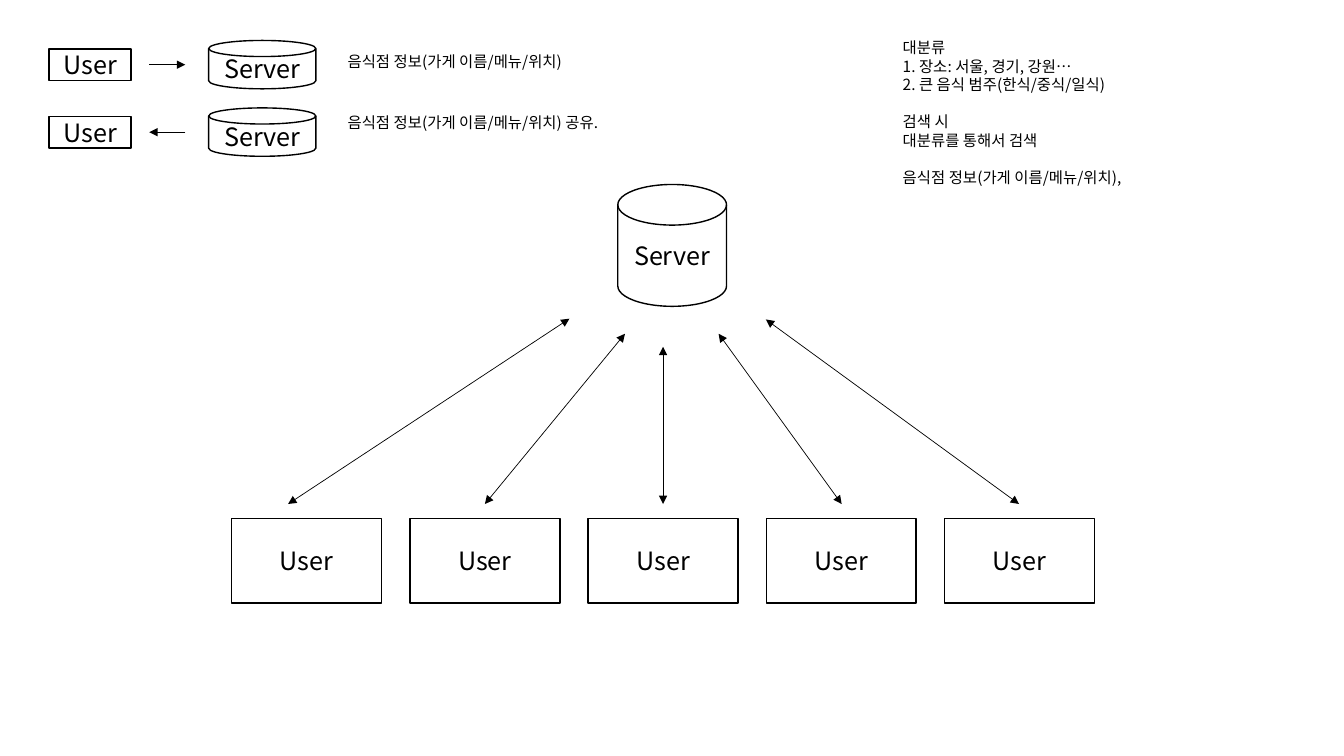
"""Builds the slide on how users and the server share restaurant information."""
from dataclasses import dataclass

from lxml.etree import SubElement
from pptx import Presentation
from pptx.dml.color import RGBColor
from pptx.enum.shapes import MSO_CONNECTOR as Line, MSO_SHAPE as Shape
from pptx.enum.text import MSO_ANCHOR as Anchor, MSO_AUTO_SIZE as Fit, PP_ALIGN as Align
from pptx.oxml.ns import qn
from pptx.util import Cm, Pt


@dataclass(frozen=True)
class Theme:
    font: str = "Noto Sans CJK KR"
    ink: RGBColor = RGBColor(0, 0, 0)
    label: Pt = Pt(18)
    note: Pt = Pt(11)
    leading: Pt = Pt(13.2)
    border: Pt = Pt(1)
    arrow: Pt = Pt(0.5)


class Board:
    def __init__(self, s, theme):
        self.s, self.theme = s, theme

    def style(self, p, size):
        p.font.name, p.font.size = self.theme.font, size
        p.font.color.rgb = self.theme.ink

    def node(self, kind, text, x, y, w, h):
        sp = self.s.shapes.add_shape(kind, Cm(x), Cm(y), Cm(w), Cm(h))
        sp.shadow.inherit = False
        sp.fill.background()
        sp.line.color.rgb, sp.line.width = self.theme.ink, self.theme.border
        tf = sp.text_frame
        tf.vertical_anchor = Anchor.MIDDLE
        p = tf.paragraphs[0]
        p.text, p.alignment = text, Align.CENTER
        self.style(p, self.theme.label)

    def user(self, *box):
        self.node(Shape.RECTANGLE, "User", *box)

    def server(self, *box):
        self.node(Shape.FLOWCHART_MAGNETIC_DISK, "Server", *box)

    def arrow(self, start, end, both=False):
        sp = self.s.shapes.add_connector(Line.STRAIGHT, *map(Cm, start + end))
        sp.line.color.rgb, sp.line.width = self.theme.ink, self.theme.arrow
        ln = sp.line._get_or_add_ln()
        for tag in ("a:headEnd", "a:tailEnd") if both else ("a:tailEnd",):
            SubElement(ln, qn(tag), type="triangle")
        SubElement(sp._element.spPr, qn("a:effectLst"))

    def note(self, x, y, h, *blocks):
        sp = self.s.shapes.add_textbox(Cm(x), Cm(y), Cm(10.34), Cm(h))
        tf = sp.text_frame
        tf.word_wrap, tf.auto_size = True, Fit.SHAPE_TO_FIT_TEXT
        p = None
        for block in blocks:
            for i, text in enumerate(block):
                gap = p is not None and i == 0
                p = tf.paragraphs[0] if p is None else tf.add_paragraph()
                p.text, p.line_spacing = text, self.theme.leading
                if gap:
                    p.space_before = self.theme.leading
                self.style(p, self.theme.note)


prs = Presentation()
prs.slide_width, prs.slide_height = Cm(33.87), Cm(19.05)
board = Board(prs.slides.add_slide(prs.slide_layouts[6]), Theme())

INFO = "음식점 정보(가게 이름/메뉴/위치)"
NEAR_USER, NEAR_SERVER = 3.76, 4.67
flows = [
    (NEAR_USER, NEAR_SERVER, 1.19, INFO),
    (NEAR_SERVER, NEAR_USER, 2.72, INFO + " 공유."),
]
for row, (start, end, note_top, text) in enumerate(flows):
    dy = 1.7 * row
    board.user(1.24, 1.24 + dy, 2.06, 0.79)
    board.server(5.26, 1.02 + dy, 2.7, 1.22)
    board.arrow((start, 1.63 + dy), (end, 1.63 + dy))
    board.note(8.51, note_top, 0.74, [text])

board.note(
    22.5, 0.84, 4.01,
    ["대분류", "1. 장소: 서울, 경기, 강원…", "2. 큰 음식 범주(한식/중식/일식)"],
    ["검색 시", "대분류를 통해서 검색"],
    [INFO + ","],
)

board.server(15.57, 4.65, 2.74, 3.07)
links = [
    (7.26, (14.35, 8.03)),
    (12.22, (15.75, 8.41)),
    (16.71, (16.71, 8.74)),
    (21.21, (18.11, 8.41)),
    (25.68, (19.3, 8.05)),
]
for i, (foot, tip) in enumerate(links):
    board.user(5.84 + 4.49 * i, 13.07, 3.78, 2.13)
    board.arrow((foot, 12.7), tip, both=True)

prs.save("out.pptx")
